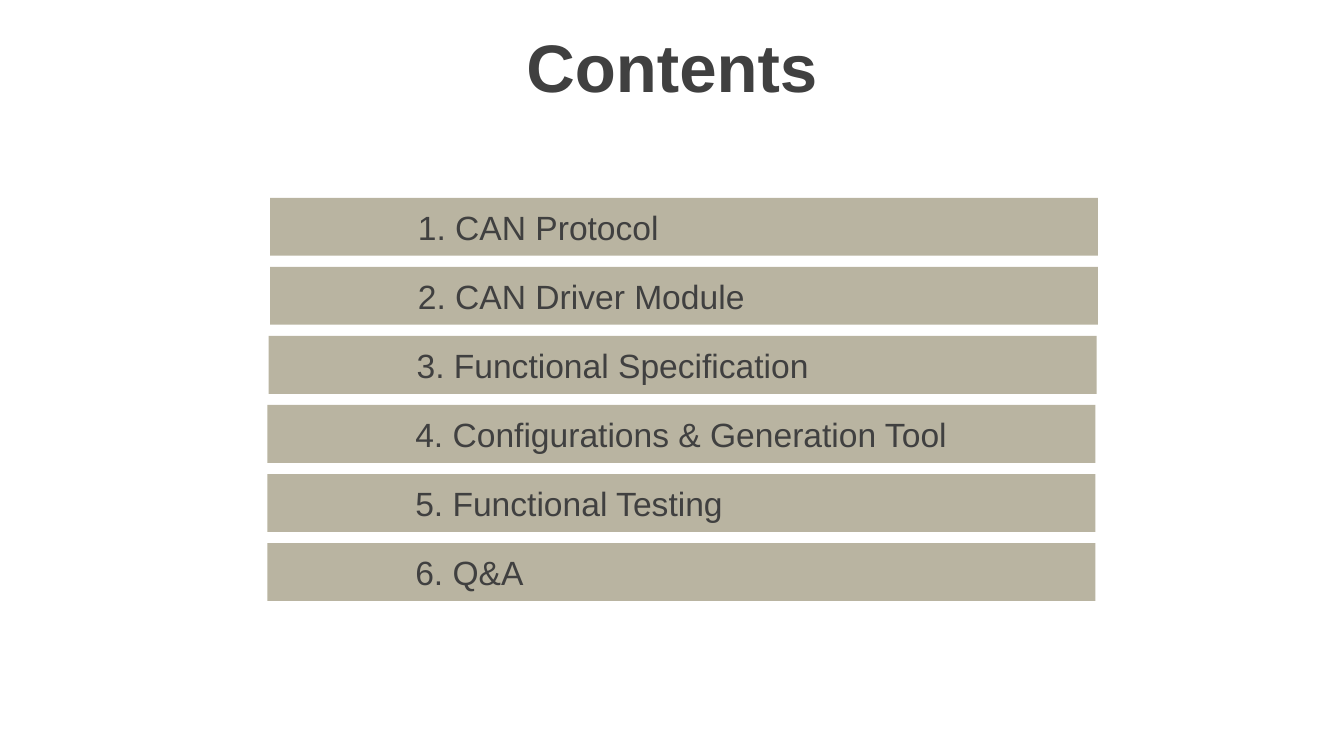
"""Build a contents slide with six numbered agenda bars."""
from pptx import Presentation
from pptx.dml.color import RGBColor
from pptx.enum import shapes, text
from pptx.util import Pt

TITLE = "Contents"
AGENDA = [
    ("CAN Protocol", 144.7),
    ("CAN Driver Module", 144.7),
    ("Functional Specification", 144),
    ("Configurations & Generation Tool", 143.3),
    ("Functional Testing", 143.3),
    ("Q&A", 143.3),
]
COLOURS = {"background": "FFFFFF", "bar": "B9B4A1", "text": "404040"}
SLIDE_WIDTH, SLIDE_HEIGHT = 720, 405
TITLE_HEIGHT = 70
BAR_TOP, BAR_WIDTH, BAR_HEIGHT, BAR_PITCH = 106, 443.5, 31, 37
TEXT_INDENT = 79.2


def fill(shape, colour):
    shape.fill.solid()
    shape.fill.fore_color.rgb = RGBColor.from_string(COLOURS[colour])


def write(shape, content, size, alignment, bold=False):
    frame = shape.text_frame
    frame.text = content
    frame.word_wrap = True
    frame.auto_size = text.MSO_AUTO_SIZE.NONE
    frame.vertical_anchor = text.MSO_ANCHOR.MIDDLE
    paragraph = frame.paragraphs[0]
    paragraph.alignment = alignment
    paragraph.font.name = "Arial"
    paragraph.font.size = Pt(size)
    paragraph.font.bold = bold
    paragraph.font.color.rgb = RGBColor.from_string(COLOURS["text"])


def add_title(slide):
    title = slide.shapes.title
    title.left, title.top = Pt(0), Pt(0)
    title.width, title.height = Pt(SLIDE_WIDTH), Pt(TITLE_HEIGHT)
    fill(title, "background")
    write(title, TITLE, 36, text.PP_ALIGN.CENTER, bold=True)


def add_bar(slide, index, topic, left):
    bar = slide.shapes.add_shape(
        shapes.MSO_SHAPE.RECTANGLE,
        Pt(left), Pt(BAR_TOP + index * BAR_PITCH), Pt(BAR_WIDTH), Pt(BAR_HEIGHT),
    )
    bar.shadow.inherit = False
    bar.line.fill.background()
    fill(bar, "bar")
    write(bar, f"{index + 1}. {topic}", 18, text.PP_ALIGN.LEFT)
    bar.text_frame.margin_left = Pt(TEXT_INDENT)


def main():
    presentation = Presentation()
    presentation.slide_width = Pt(SLIDE_WIDTH)
    presentation.slide_height = Pt(SLIDE_HEIGHT)
    slide = presentation.slides.add_slide(presentation.slide_layouts[5])
    add_title(slide)
    for index, (topic, left) in enumerate(AGENDA):
        add_bar(slide, index, topic, left)
    presentation.save("out.pptx")


if __name__ == "__main__":
    main()
